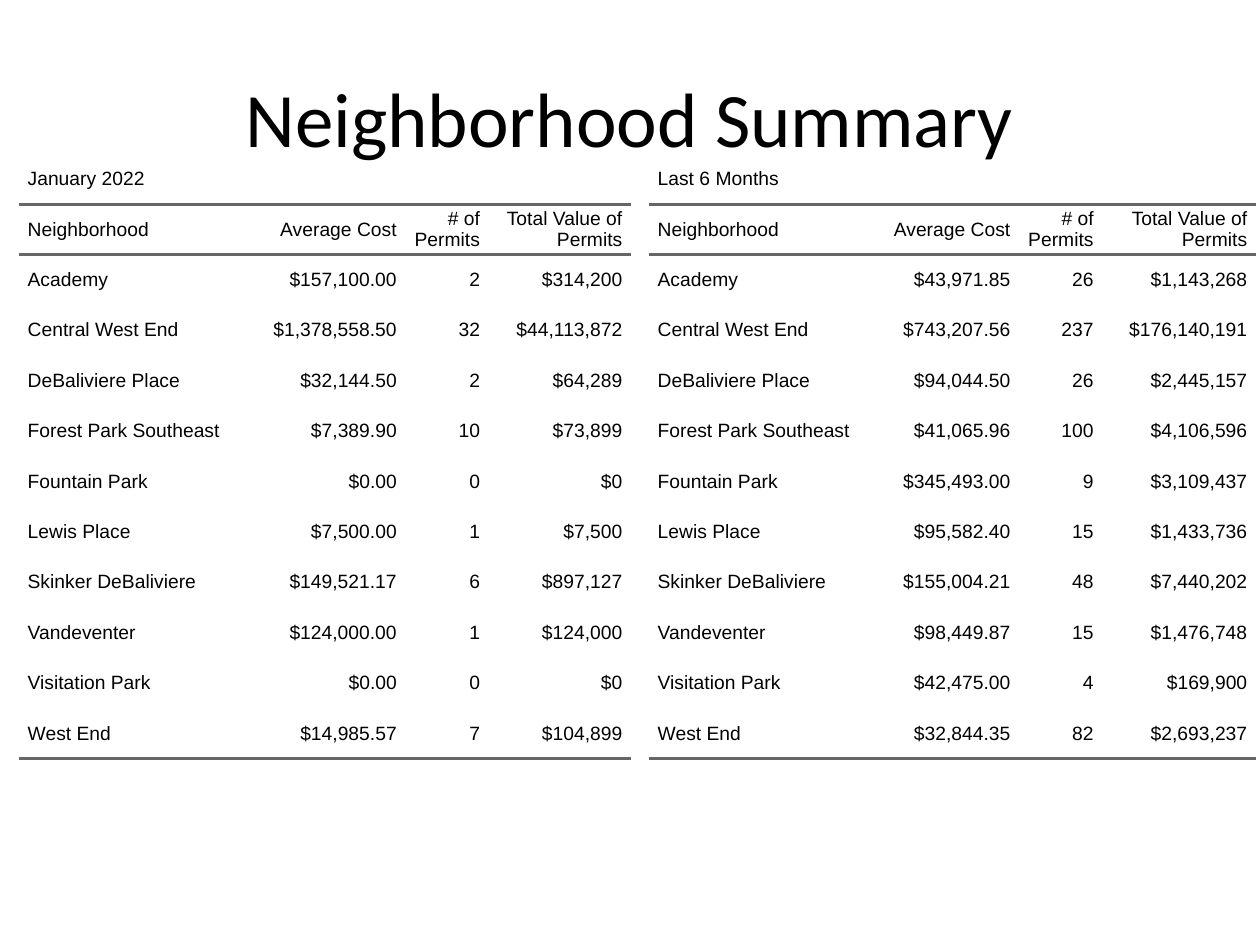
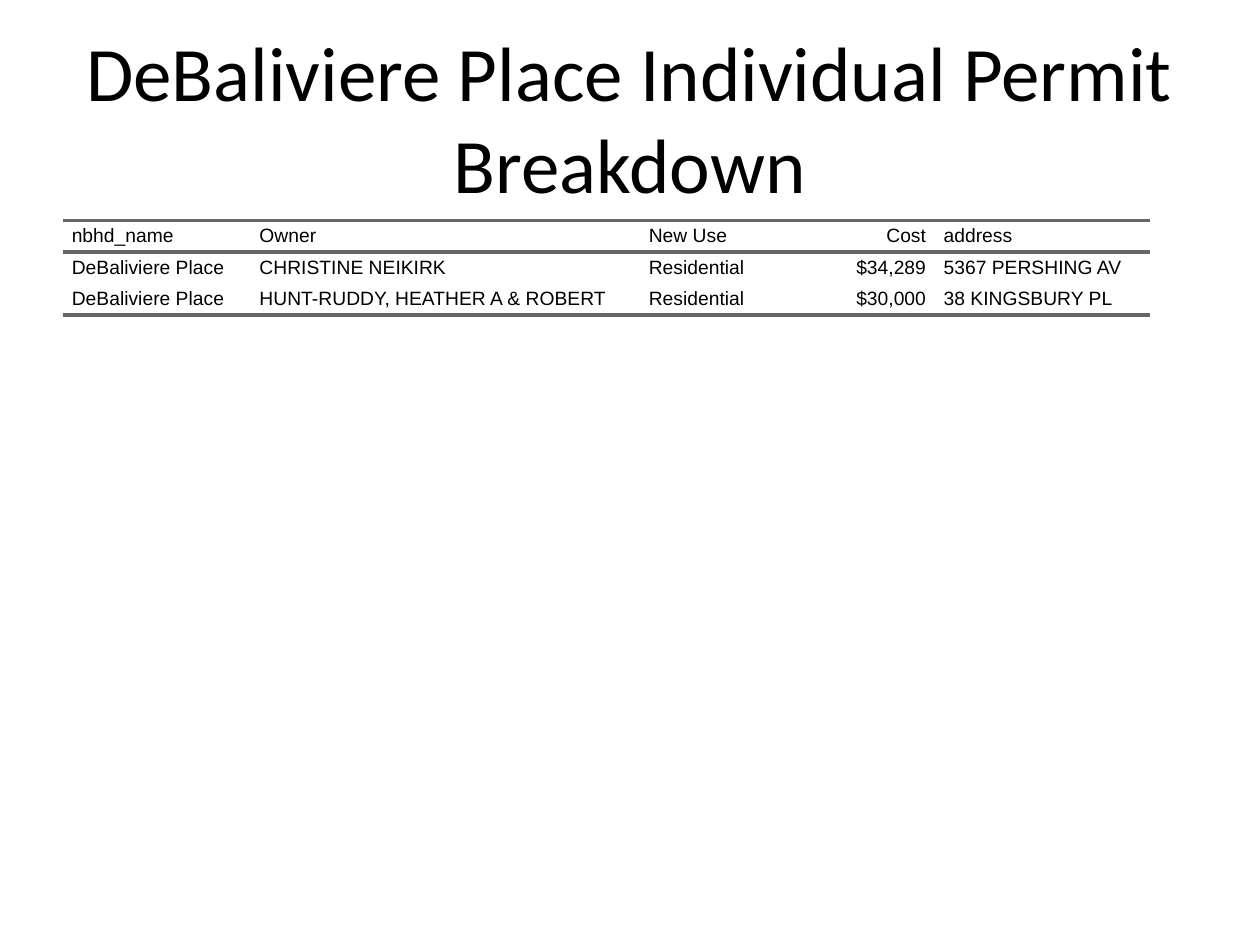
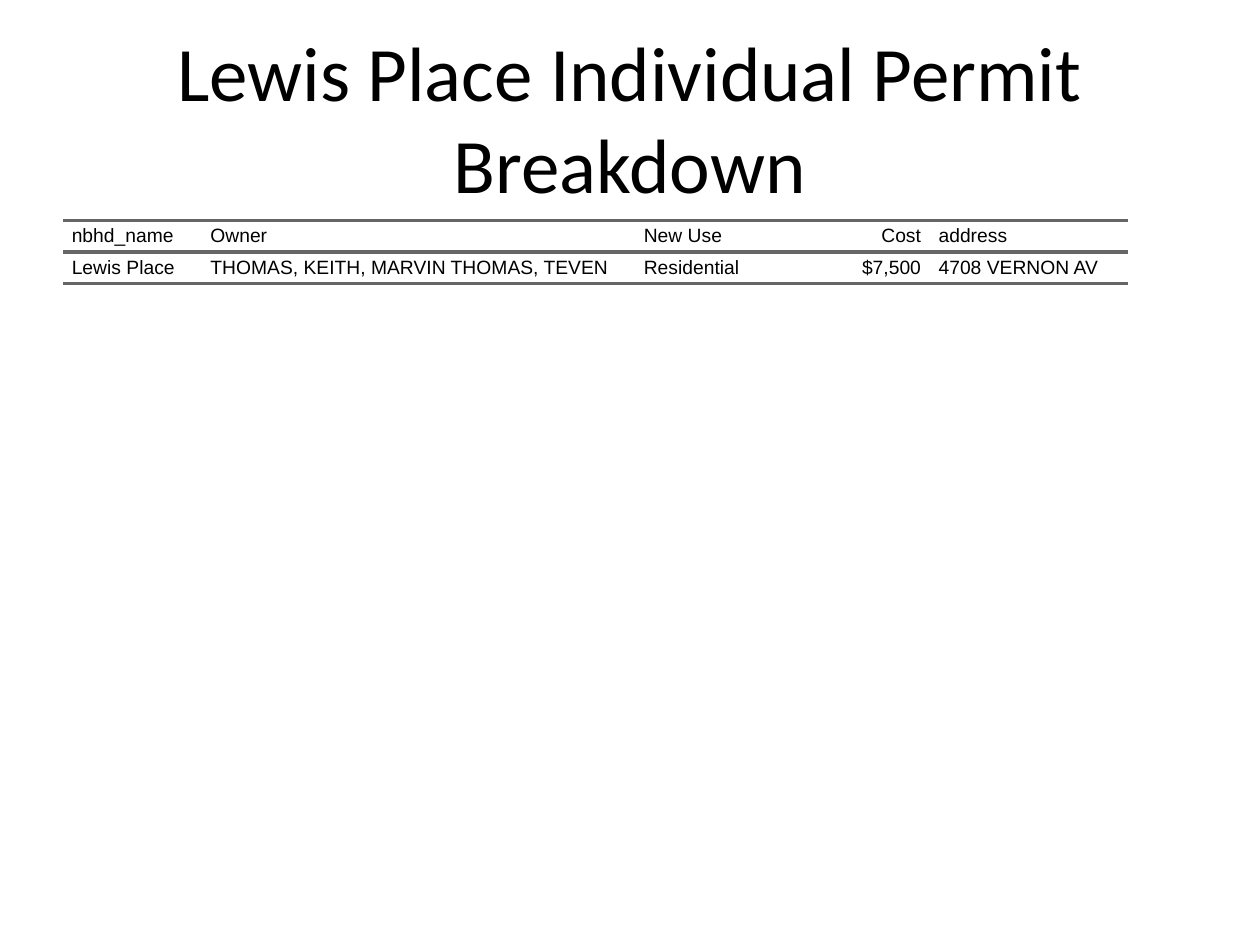
import pptx
import pptx.util
import pptx.dml.color
import pptx.enum.text
import pptx.oxml.ns
import lxml.etree

SCALE = 9144
COLORS = {"text": "000000", "rule": "666666"}
TITLE_BOX = (50, 30, 900, 125)
BREAKDOWN_BOX = (50, 175)
CELL_PAD = 7
RULE_POINTS = 2
PLAIN_STYLE = "{2D5ABB26-0587-4C30-8999-92F81FD0307C}"
LEFT = pptx.enum.text.PP_ALIGN.LEFT
CENTER = pptx.enum.text.PP_ALIGN.CENTER
RIGHT = pptx.enum.text.PP_ALIGN.RIGHT
MIDDLE = pptx.enum.text.MSO_ANCHOR.MIDDLE

SUMMARY_HEADER = ["Neighborhood", "Average Cost", "# of Permits", "Total Value of Permits"]
BREAKDOWN_HEADER = ["nbhd_name", "Owner", "New Use", "Cost", "address"]

NEIGHBORHOODS = [
    "Academy", "Central West End", "DeBaliviere Place", "Forest Park Southeast",
    "Fountain Park", "Lewis Place", "Skinker DeBaliviere", "Vandeventer",
    "Visitation Park", "West End",
]

JANUARY = [
    ("$157,100.00", "2", "$314,200"),
    ("$1,378,558.50", "32", "$44,113,872"),
    ("$32,144.50", "2", "$64,289"),
    ("$7,389.90", "10", "$73,899"),
    ("$0.00", "0", "$0"),
    ("$7,500.00", "1", "$7,500"),
    ("$149,521.17", "6", "$897,127"),
    ("$124,000.00", "1", "$124,000"),
    ("$0.00", "0", "$0"),
    ("$14,985.57", "7", "$104,899"),
]

SIX_MONTHS = [
    ("$43,971.85", "26", "$1,143,268"),
    ("$743,207.56", "237", "$176,140,191"),
    ("$94,044.50", "26", "$2,445,157"),
    ("$41,065.96", "100", "$4,106,596"),
    ("$345,493.00", "9", "$3,109,437"),
    ("$95,582.40", "15", "$1,433,736"),
    ("$155,004.21", "48", "$7,440,202"),
    ("$98,449.87", "15", "$1,476,748"),
    ("$42,475.00", "4", "$169,900"),
    ("$32,844.35", "82", "$2,693,237"),
]

SUMMARIES = [
    ("January 2022", (15, 122), [181, 126, 66, 113], JANUARY),
    ("Last 6 Months", (515, 122), [181, 113, 66, 122], SIX_MONTHS),
]

BREAKDOWNS = [
    ("DeBaliviere Place", [149, 309, 104, 130, 171], [
        ("CHRISTINE NEIKIRK", "Residential", "$34,289", "5367 PERSHING AV"),
        ("HUNT-RUDDY, HEATHER A & ROBERT", "Residential", "$30,000", "38 KINGSBURY PL"),
    ]),
    ("Lewis Place", [110, 344, 104, 130, 157], [
        ("THOMAS, KEITH, MARVIN THOMAS, TEVEN", "Residential", "$7,500", "4708 VERNON AV"),
    ]),
]


def px(length):
    return pptx.util.Emu(length * SCALE)


def write(frame, text, font, size, align):
    para = frame.paragraphs[0]
    para.alignment = align
    span = para.add_run()
    span.text = text
    span.font.name = font
    span.font.size = pptx.util.Pt(size)
    span.font.color.rgb = pptx.dml.color.RGBColor.from_string(COLORS["text"])


def add_titled_page(deck, title):
    page = deck.slides.add_slide(deck.slide_layouts[6])
    box = page.shapes.add_textbox(*map(px, TITLE_BOX))
    box.text_frame.word_wrap = True
    box.text_frame.vertical_anchor = MIDDLE
    write(box.text_frame, title, "Calibri", 44, CENTER)
    return page


def rule_cell(cell, edges):
    properties = cell._tc.get_or_add_tcPr()
    for position, edge in enumerate(edges):
        line = lxml.etree.Element(
            pptx.oxml.ns.qn(f"a:ln{edge}"), w=str(pptx.util.Pt(RULE_POINTS)))
        fill = lxml.etree.SubElement(line, pptx.oxml.ns.qn("a:solidFill"))
        lxml.etree.SubElement(fill, pptx.oxml.ns.qn("a:srgbClr"), val=COLORS["rule"])
        properties.insert(position, line)


def fill_cell(cell, text, align, edges):
    cell.margin_left = cell.margin_right = px(CELL_PAD)
    cell.margin_top = cell.margin_bottom = 0
    cell.vertical_anchor = MIDDLE
    cell.fill.background()
    rule_cell(cell, edges)
    if text:
        write(cell.text_frame, text, "Arial", 11, align)


def add_ruled_table(page, corner, widths, row_height, rows, header_row, right_columns):
    left, top = corner
    frame = page.shapes.add_table(
        len(rows), len(widths), px(left), px(top),
        px(sum(widths)), px(row_height * len(rows)))
    table = frame.table
    table.first_row = False
    table.horz_banding = False
    table._tbl.tblPr.find(pptx.oxml.ns.qn("a:tableStyleId")).text = PLAIN_STYLE
    for column, width in zip(table.columns, widths):
        column.width = px(width)
    edges = {header_row: "TB", len(rows) - 1: "B"}
    for row_index, texts in enumerate(rows):
        table.rows[row_index].height = px(row_height)
        for column_index, text in enumerate(texts):
            align = RIGHT if column_index in right_columns else LEFT
            fill_cell(table.cell(row_index, column_index), text, align,
                      edges.get(row_index, ""))
    return table


def add_summary_table(page, caption, corner, widths, figures):
    rows = [[caption, "", "", ""], SUMMARY_HEADER]
    rows += [[name, *values] for name, values in zip(NEIGHBORHOODS, figures)]
    table = add_ruled_table(page, corner, widths, 40, rows, 1, {1, 2, 3})
    table.cell(0, 0).merge(table.cell(0, 3))


def add_summary_page(deck):
    page = add_titled_page(deck, "Neighborhood Summary")
    for summary in SUMMARIES:
        add_summary_table(page, *summary)


def add_breakdown_page(deck, neighborhood, widths, permits):
    page = add_titled_page(deck, f"{neighborhood} Individual Permit Breakdown")
    rows = [BREAKDOWN_HEADER] + [[neighborhood, *permit] for permit in permits]
    add_ruled_table(page, BREAKDOWN_BOX, widths, 25, rows, 0, {3})


def main():
    deck = pptx.Presentation()
    deck.slide_width = px(1000)
    deck.slide_height = px(750)
    add_summary_page(deck)
    for breakdown in BREAKDOWNS:
        add_breakdown_page(deck, *breakdown)
    deck.save("out.pptx")


if __name__ == "__main__":
    main()
